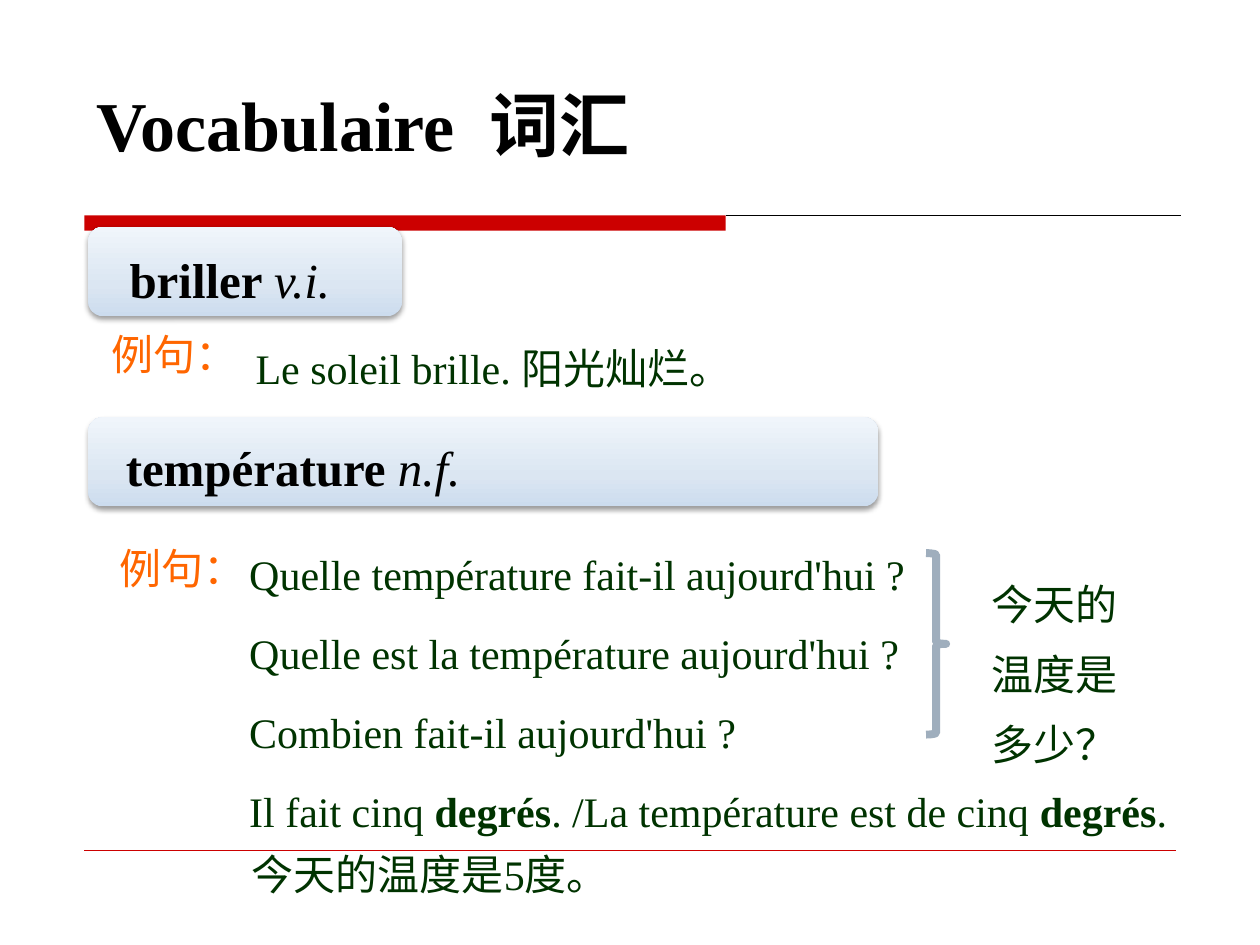
from lxml import etree
from pptx import Presentation
from pptx import util as u
from pptx.dml.color import RGBColor
from pptx.enum import shapes, text
from pptx.oxml import ns, parse_xml

COLORS = {"red": "CC0000", "black": "000000", "green": "003300",
          "orange": "FF6600", "brace": "9FAEBD"}
CARD_STOPS = [(0, "CCDCEE"), (35, "DBE6F2"), (100, "F0F5FB")]
LATIN, CHINESE = "Times New Roman", "Noto Sans CJK SC"
BOLD, ITALIC = {"bold": True}, {"italic": True}
TALL = {"line_spacing": u.Pt(40)}
LOOSE = {"line_spacing": 1.5}


def rgb(name):
    return RGBColor.from_string(COLORS[name])


def inches(values):
    return [u.Inches(value) for value in values]


def apply(target, formats):
    for name, value in formats.items():
        setattr(target, name, value)


def add_text(page, area, paragraphs, size, color, font=LATIN, spacing=None,
             wrap=True, hanging=None):
    """Each paragraph is a list of (wording, font formats) pairs."""
    frame = page.shapes.add_textbox(*inches(area)).text_frame
    apply(frame, {"word_wrap": wrap,
                  "auto_size": text.MSO_AUTO_SIZE.SHAPE_TO_FIT_TEXT})
    for index, spans in enumerate(paragraphs):
        para = frame.add_paragraph() if index else frame.paragraphs[0]
        apply(para, spacing or {})
        if index:
            para.space_before = u.Pt(2)
        if hanging:
            margin, indent = inches(hanging)
            props = para._p.get_or_add_pPr()
            props.set("marL", str(margin))
            props.set("indent", str(indent))
        for wording, formats in spans:
            span = para.add_run()
            span.text = wording
            apply(span.font, {"name": font, "size": u.Pt(size), **formats})
            span.font.color.rgb = rgb(color)
            east = etree.SubElement(span.font._element, ns.qn("a:ea"))
            east.set("typeface", CHINESE)


def add_line(page, start, end, color, width):
    line = page.shapes.add_connector(shapes.MSO_CONNECTOR.STRAIGHT,
                                     *inches(start + end))
    line.line.color.rgb = rgb(color)
    line.line.width = u.Pt(width)
    etree.SubElement(line._element.spPr, ns.qn("a:effectLst"))


def add_bar(page, area, color):
    bar = page.shapes.add_shape(shapes.MSO_SHAPE.RECTANGLE, *inches(area))
    bar.shadow.inherit = False
    bar.fill.solid()
    bar.fill.fore_color.rgb = rgb(color)
    bar.line.fill.background()


def add_card(page, area):
    """Rounded card with a pale upward gradient and a soft shadow."""
    card = page.shapes.add_shape(shapes.MSO_SHAPE.ROUNDED_RECTANGLE,
                                 *inches(area))
    card.line.fill.background()
    stops = "".join(f'<a:gs pos="{place * 1000}"><a:srgbClr val="{color}"/></a:gs>'
                    for place, color in CARD_STOPS)
    gradient = parse_xml(f'<a:gradFill {ns.nsdecls("a")}><a:gsLst>{stops}</a:gsLst>'
                         '<a:lin ang="16200000" scaled="0"/></a:gradFill>')
    effects = parse_xml(
        f'<a:effectLst {ns.nsdecls("a")}><a:outerShdw blurRad="40000" dist="20000" '
        'dir="5400000" rotWithShape="0"><a:srgbClr val="000000">'
        '<a:alpha val="38000"/></a:srgbClr></a:outerShdw></a:effectLst>')
    props = card._element.spPr
    props.find(ns.qn("a:prstGeom")).addnext(gradient)
    props.find(ns.qn("a:ln")).addnext(effects)


def add_brace(page, area):
    brace = page.shapes.add_shape(shapes.MSO_SHAPE.RIGHT_BRACE, *inches(area))
    brace.shadow.inherit = False
    brace.fill.background()
    brace.line.color.rgb = rgb("brace")
    brace.line.width = u.Pt(4.5)


def add_word(page, card_area, text_area, word, word_class):
    add_card(page, card_area)
    add_text(page, text_area, [[(word + " ", BOLD), (word_class, ITALIC)]],
             28, "black", spacing=LOOSE)


def add_example_label(page, left, top):
    add_text(page, (left, top, 1.21, 0.5), [[("例句：", {})]], 24, "orange",
             font=CHINESE, wrap=False)


def add_sentence(page, area, wording):
    add_text(page, area, [[(wording, {})]], 24, "green", spacing=TALL)


def main():
    deck = Presentation()
    deck.slide_width, deck.slide_height = inches((10, 7.5))
    page = deck.slides.add_slide(deck.slide_layouts[6])

    add_bar(page, (0.67, 1.71, 5.09, 0.12), "red")
    add_line(page, (5.76, 1.71), (9.37, 1.71), "black", 0.75)
    add_line(page, (0.67, 6.75), (9.33, 6.75), "red", 0.25)
    add_text(page, (0.67, 0.6, 7.8, 0.77), [[("Vocabulaire  词汇", BOLD)]],
             40, "black")

    add_word(page, (0.7, 1.8, 2.49, 0.71), (0.93, 1.7, 2.26, 0.72),
             "briller", "v.i.")
    add_example_label(page, 0.79, 2.56)
    add_sentence(page, (1.93, 2.51, 8.82, 0.61), "Le soleil brille. 阳光灿烂。")

    add_word(page, (0.7, 3.31, 6.27, 0.71), (0.9, 3.19, 8.17, 0.72),
             "température", "n.f.")
    add_example_label(page, 0.85, 4.26)
    questions = ["Quelle température fait-il aujourd'hui ?",
                 "Quelle est la température aujourd'hui ?",
                 "Combien fait-il aujourd'hui ?"]
    answer = [("Il fait cinq ", {}), ("degrés", BOLD),
              (". /La température est de cinq ", {}), ("degrés", BOLD), (".", {})]
    add_text(page, (1.38, 4.1, 9.37, 2.45),
             [[(question, {})] for question in questions] + [answer],
             24, "green", spacing=LOOSE, hanging=(0.81, -0.31))
    add_brace(page, (7.35, 4.39, 0.16, 1.44))
    add_sentence(page, (7.77, 4.39, 1.39, 1.72), "今天的温度是多少？")
    add_sentence(page, (1.9, 6.53, 8.82, 0.61), "今天的温度是5度。")

    deck.save("out.pptx")


if __name__ == "__main__":
    main()
